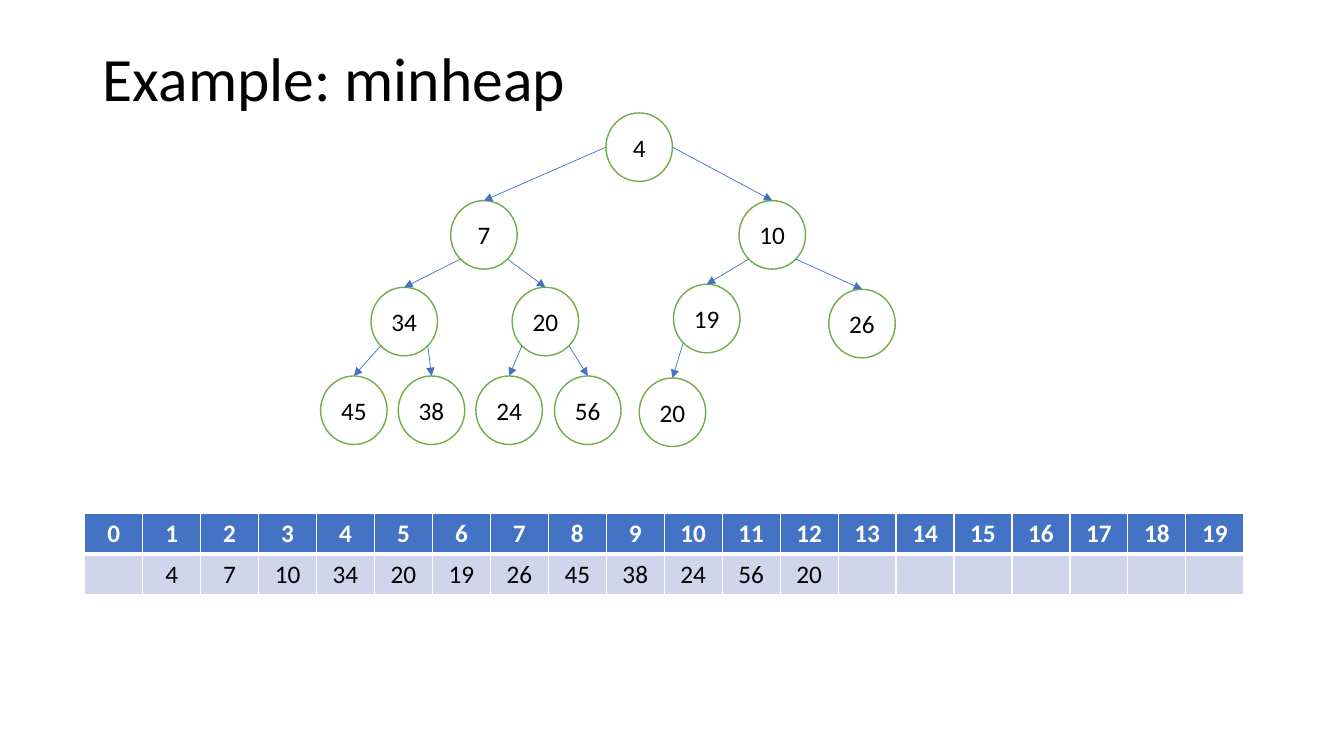
import math

import pptx
import pptx.dml.color
import pptx.enum.shapes
import pptx.enum.text
import pptx.oxml
import pptx.oxml.ns
import pptx.util

Inches = pptx.util.Inches
Pt = pptx.util.Pt
RGBColor = pptx.dml.color.RGBColor
PP_ALIGN = pptx.enum.text.PP_ALIGN
MSO_ANCHOR = pptx.enum.text.MSO_ANCHOR

BLACK = RGBColor(0x00, 0x00, 0x00)
WHITE = RGBColor(0xFF, 0xFF, 0xFF)
GREEN = RGBColor(0x70, 0xAD, 0x47)
BLUE = RGBColor(0x44, 0x72, 0xC4)
PALE_BLUE = RGBColor(0xCF, 0xD5, 0xEA)
FONT = "Calibri"

NODE_WIDTH, NODE_HEIGHT = 0.66, 0.68
ARRAY_SIZE = 20

# Heap in array order: value, left and top of its node
HEAP = [
    (4, 6.01, 1.12),
    (7, 4.47, 1.99), (10, 7.33, 1.99),
    (34, 3.68, 2.85), (20, 5.08, 2.85), (19, 6.68, 2.82), (26, 8.22, 2.87),
    (45, 3.18, 3.73), (38, 3.95, 3.73), (24, 4.72, 3.73), (56, 5.5, 3.73),
    (20, 6.34, 3.75),
]


def format_text(text_frame, size, color, alignment, bold=False):
    for paragraph in text_frame.paragraphs:
        paragraph.alignment = alignment
        for run in paragraph.runs:
            run.font.name = FONT
            run.font.size = Pt(size)
            run.font.bold = bold
            run.font.color.rgb = color


def add_title(slide, text):
    title = slide.shapes.title
    title.left, title.top = Inches(0.92), Inches(0.15)
    title.width, title.height = Inches(11.5), Inches(1.31)
    text_frame = title.text_frame
    text_frame.text = text
    text_frame.auto_size = pptx.enum.text.MSO_AUTO_SIZE.NONE
    text_frame.vertical_anchor = MSO_ANCHOR.MIDDLE
    text_frame.paragraphs[0].line_spacing = 0.9
    format_text(text_frame, 44, BLACK, PP_ALIGN.LEFT)


def add_node(slide, value, left, top):
    node = slide.shapes.add_shape(
        pptx.enum.shapes.MSO_SHAPE.FLOWCHART_CONNECTOR,
        Inches(left), Inches(top), Inches(NODE_WIDTH), Inches(NODE_HEIGHT))
    node.shadow.inherit = False
    node.fill.solid()
    node.fill.fore_color.rgb = WHITE
    node.line.color.rgb = GREEN
    node.line.width = Pt(1)
    text_frame = node.text_frame
    text_frame.margin_left = text_frame.margin_right = 0
    text_frame.vertical_anchor = MSO_ANCHOR.MIDDLE
    text_frame.text = str(value)
    format_text(text_frame, 18, BLACK, PP_ALIGN.CENTER)


def point_on_node(left, top, degrees):
    """Point on a node's outline, clockwise from its right side."""
    angle = math.radians(degrees)
    return (left + NODE_WIDTH / 2 * (1 + math.cos(angle)),
            top + NODE_HEIGHT / 2 * (1 + math.sin(angle)))


def add_arrow(slide, start, end):
    arrow = slide.shapes.add_connector(
        pptx.enum.shapes.MSO_CONNECTOR.STRAIGHT,
        *[Inches(length) for length in (*start, *end)])
    arrow.line.color.rgb = BLUE
    arrow.line.width = Pt(0.5)
    head = pptx.oxml.parse_xml(
        f'<a:tailEnd {pptx.oxml.ns.nsdecls("a")} type="triangle"/>')
    arrow.line._get_or_add_ln().append(head)
    arrow._element.spPr.append(pptx.oxml.parse_xml(
        f'<a:effectLst {pptx.oxml.ns.nsdecls("a")}/>'))


def add_heap_tree(slide):
    for node in HEAP:
        add_node(slide, *node)
    # The parent of node i is node (i - 1) // 2
    for index in range(1, len(HEAP)):
        parent = (index - 1) // 2
        is_left_child = index % 2 == 1
        if parent == 0:
            degrees = 180 if is_left_child else 0
        else:
            degrees = 135 if is_left_child else 45
        add_arrow(slide, point_on_node(*HEAP[parent][1:], degrees),
                  point_on_node(*HEAP[index][1:], 270))


def set_cell_borders(cell, widths):
    properties = cell._tc.get_or_add_tcPr()
    for side, width in zip("LRTB", widths):
        properties.append(pptx.oxml.parse_xml(
            f'<a:ln{side} {pptx.oxml.ns.nsdecls("a")} w="{Pt(width)}">'
            f'<a:solidFill><a:srgbClr val="{WHITE}"/></a:solidFill>'
            f'</a:ln{side}>'))


def add_heap_array(slide):
    indexes = [str(index) for index in range(ARRAY_SIZE)]
    values = [""] + [str(node[0]) for node in HEAP]
    values += [""] * (ARRAY_SIZE - len(values))
    # Texts, fill, font colour, bold, border widths (left, right, top, bottom)
    rows = [
        (indexes, BLUE, WHITE, True, (1, 1, 1, 3)),
        (values, PALE_BLUE, BLACK, False, (1, 1, 3, 1)),
    ]
    table = slide.shapes.add_table(
        len(rows), ARRAY_SIZE, Inches(0.84), Inches(5.09),
        Inches(11.5), Inches(0.81)).table
    for row, (texts, fill, color, bold, borders) in enumerate(rows):
        for column, text in enumerate(texts):
            cell = table.cell(row, column)
            set_cell_borders(cell, borders)
            cell.fill.solid()
            cell.fill.fore_color.rgb = fill
            cell.text_frame.text = text
            format_text(cell.text_frame, 18, color, PP_ALIGN.CENTER, bold)


def main():
    presentation = pptx.Presentation()
    presentation.slide_width = Inches(13.33)
    presentation.slide_height = Inches(7.5)
    title_only = presentation.slide_layouts[5]
    slide = presentation.slides.add_slide(title_only)

    add_title(slide, "Example: minheap")
    add_heap_tree(slide)
    add_heap_array(slide)
    presentation.save("out.pptx")


main()
